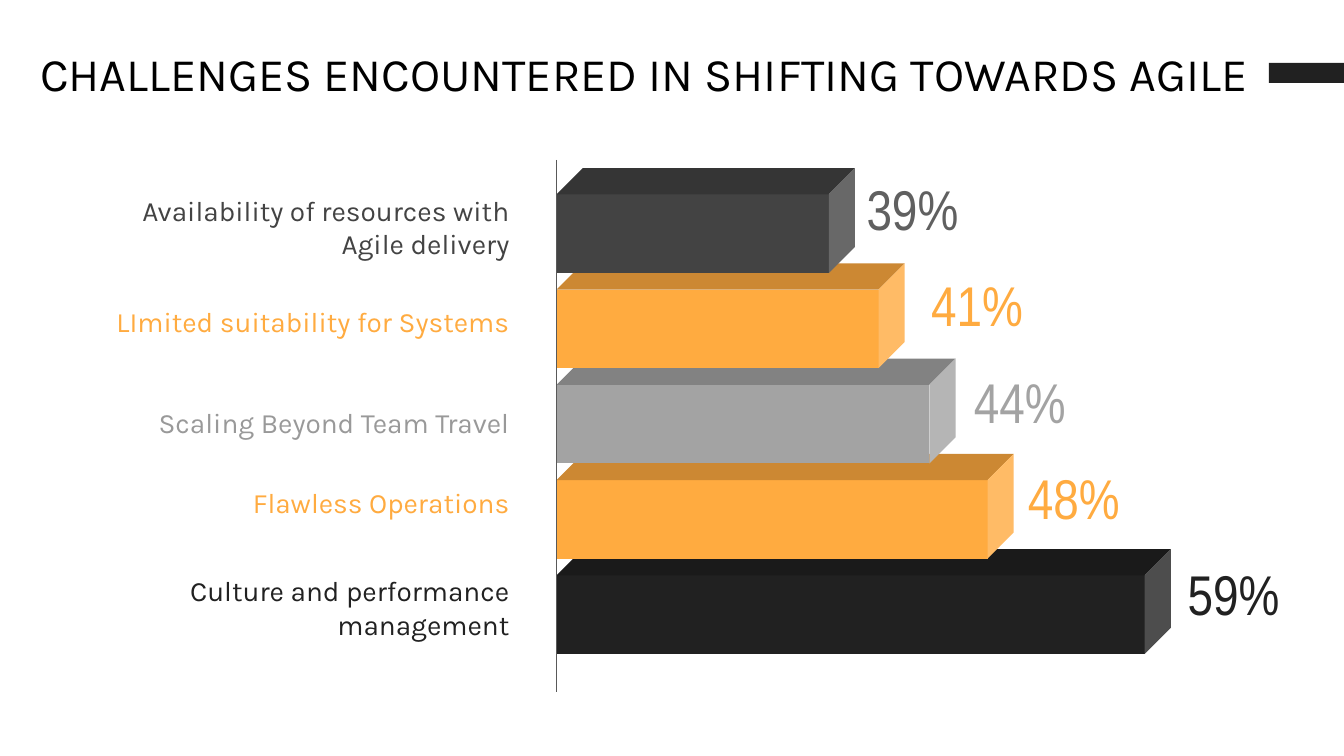
import pptx
import pptx.util
import pptx.dml.color
import pptx.enum.shapes
import pptx.enum.text
import lxml.etree

Cm = pptx.util.Cm
Kind = pptx.enum.shapes.MSO_SHAPE
Align = pptx.enum.text.PP_ALIGN
Anchor = pptx.enum.text.MSO_ANCHOR
Fit = pptx.enum.text.MSO_AUTO_SIZE

TITLE = "CHALLENGES ENCOUNTERED IN SHIFTING TOWARDS AGILE"
INK = "212121"

# label, label colour, label top, label height, value, value colour, value left,
# bar colour, bar length (cm, from the top bar down)
ROWS = [
    ("Availability of resources with Agile delivery", "434343", 3.4, 1.8,
     "39%", "606060", 16, "434343", 5.64),
    ("LImited suitability for Systems", "FFAB40", 5.51, 1.14,
     "41%", "FFAB40", 17.22, "FFAB40", 6.58),
    ("Scaling Beyond Team Travel", "999999", 7.42, 1.14,
     "44%", "A3A3A3", 18.03, "A3A3A3", 7.54),
    ("Flawless Operations", "FFAB40", 8.92, 1.14,
     "48%", "FFAB40", 19.05, "FFAB40", 8.64),
    ("Culture and performance management", INK, 10.59, 1.8,
     "59%", INK, 22.07, INK, 11.61),
]

AXIS = 10.52
BAR_TOP, BAR_STEP, THICK = 3.18, 1.8, 1.98
VALUE_TOP, VALUE_STEP = 3.05, 1.82

FRAME = {"word_wrap": True, "auto_size": Fit.NONE}
FRAME.update({f"margin_{side}": Cm(0.25)
              for side in ("left", "right", "top", "bottom")})
HEAD = {"name": "Karla", "size": pptx.util.Pt(25)}
LABEL = {"name": "Karla", "size": pptx.util.Pt(15)}
VALUE = {"name": "Arial Narrow", "size": pptx.util.Pt(30)}


def tint(code):
    return pptx.dml.color.RGBColor.from_string(code)


def apply(item, style):
    for key, value in style.items():
        setattr(item, key, value)


def write(slide, box, words, color, font, align, anchor=Anchor.TOP):
    frame = slide.shapes.add_textbox(*map(Cm, box)).text_frame
    apply(frame, FRAME)
    frame.vertical_anchor = anchor
    para = frame.paragraphs[0]
    para.alignment = align
    run = para.add_run()
    run.text = words
    apply(run.font, font)
    run.font.color.rgb = tint(color)


def block(slide, kind, box, color):
    shape = slide.shapes.add_shape(kind, *map(Cm, box))
    shape.shadow.inherit = False
    shape.fill.solid()
    shape.fill.fore_color.rgb = tint(color)
    shape.line.fill.background()
    return shape


def bar(slide, top, length, color):
    """Lay a cube on its side, with its base on the axis."""
    shift = (length - THICK) / 2
    box = (AXIS + shift, top - shift, THICK, length)
    cube = block(slide, Kind.CUBE, box, color)
    cube.adjustments[0] = 0.25
    cube.rotation = 90
    cube.element.spPr.xfrm.set("flipH", "1")


def axis(slide):
    line = slide.shapes.add_connector(
        pptx.enum.shapes.MSO_CONNECTOR.STRAIGHT,
        Cm(AXIS), Cm(3.02), Cm(AXIS), Cm(13.08))
    line.line.color.rgb = tint("595959")
    line.line.width = pptx.util.Pt(0.75)
    lxml.etree.SubElement(line.element.spPr,
                          pptx.oxml.ns.qn("a:effectLst"))


def main():
    deck = pptx.Presentation()
    deck.slide_width, deck.slide_height = Cm(25.4), Cm(14.29)
    slide = deck.slides.add_slide(deck.slide_layouts[6])

    write(slide, (0.51, 0.71, 24.36, 1.35), TITLE, "000000", HEAD,
          Align.LEFT, Anchor.MIDDLE)
    block(slide, Kind.RECTANGLE, (23.98, 1.19, 1.42, 0.38), INK)

    # Lower bars go first, so that each upper bar overlaps the next one down.
    for row, (*_, color, length) in reversed(list(enumerate(ROWS))):
        bar(slide, BAR_TOP + row * BAR_STEP, length, color)
    axis(slide)

    for row, (name, ink, top, high, share, hue, left, *_) in enumerate(ROWS):
        write(slide, (1.55, top, 8.33, high), name, ink, LABEL, Align.RIGHT)
        write(slide, (left, VALUE_TOP + row * VALUE_STEP, 2.49, 1.8),
              share, hue, VALUE, Align.CENTER)

    deck.save("out.pptx")


if __name__ == "__main__":
    main()
